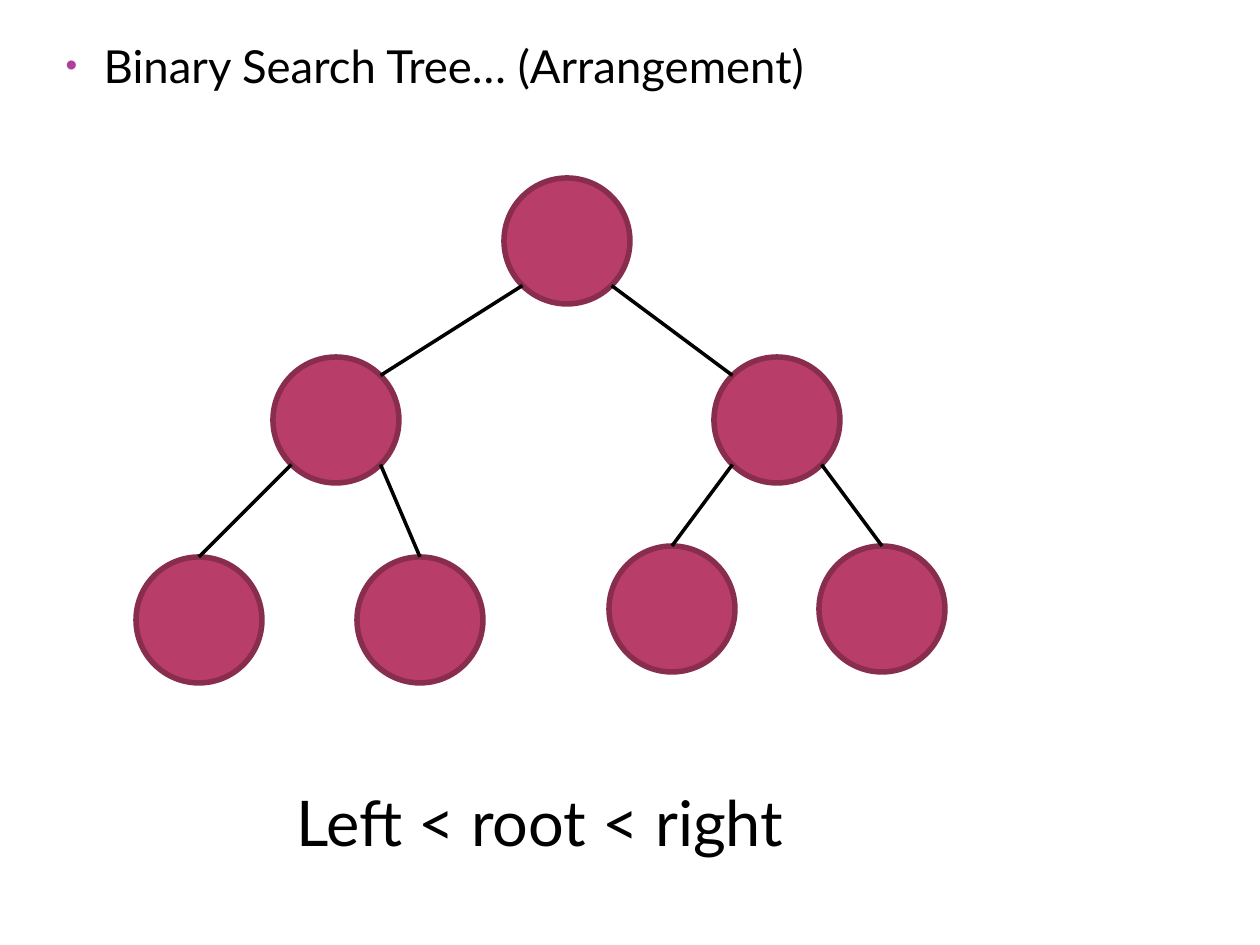
from math import sqrt

from lxml import etree
from pptx import Presentation
from pptx.dml.color import RGBColor
from pptx.enum.shapes import MSO_CONNECTOR, MSO_SHAPE
from pptx.enum.text import MSO_ANCHOR, MSO_AUTO_SIZE
from pptx.oxml.ns import qn
from pptx.util import Emu, Pt

ELLIPSE = MSO_SHAPE.OVAL
STRAIGHT = MSO_CONNECTOR.STRAIGHT
TOP = MSO_ANCHOR.TOP
GROW = MSO_AUTO_SIZE.SHAPE_TO_FIT_TEXT

BLACK = RGBColor(0x00, 0x00, 0x00)
NODE_FILL = RGBColor(0xB8, 0x3D, 0x68)
NODE_LINE = RGBColor(0x88, 0x2D, 0x4D)
BULLET = RGBColor(0xB1, 0x3F, 0x9A)
FONT = "Lato"

HEADING = "Binary Search Tree… (Arrangement)"
RULE = "Left < root < right"
NODE_SIZE = 126
NODES = {
    "root": (504, 178),
    "left": (273, 357),
    "right": (714, 357),
    "right-left": (609, 546),
    "left-left": (136, 557),
    "left-right": (357, 557),
    "right-right": (819, 546),
}
INNER_EDGES = [("root", "left", -1), ("root", "right", 1)]
LEAF_EDGES = [
    ("left", "left-left", -1),
    ("left", "left-right", 1),
    ("right", "right-left", -1),
    ("right", "right-right", 1),
]


def px(value):
    return Emu(round(value * 914400 / 126))


def rim(name, side, down):
    left, top = NODES[name]
    radius = NODE_SIZE / 2
    reach = radius / sqrt(2)
    return px(left + radius + side * reach), px(top + radius + down * reach)


def write(frame, text, size):
    paragraph = frame.paragraphs[0]
    paragraph.text = text
    paragraph.font.name = FONT
    paragraph.font.size = Pt(size)
    paragraph.font.color.rgb = BLACK
    return paragraph


def add_bullet(paragraph):
    properties = paragraph._p.get_or_add_pPr()
    properties.set("marL", str(px(38)))
    properties.set("indent", str(px(-38)))
    color = etree.SubElement(properties, qn("a:buClr"))
    etree.SubElement(color, qn("a:srgbClr"), val=str(BULLET))
    etree.SubElement(properties, qn("a:buSzPct"), val="73000")
    etree.SubElement(properties, qn("a:buFont"), typeface="Arial")
    etree.SubElement(properties, qn("a:buChar"), char="•")


def add_node(tree, left, top):
    node = tree.shapes.add_shape(ELLIPSE, px(left), px(top), px(NODE_SIZE), px(NODE_SIZE))
    node.shadow.inherit = False
    node.fill.solid()
    node.fill.fore_color.rgb = NODE_FILL
    node.line.color.rgb = NODE_LINE
    node.line.width = Pt(3.15)
    return node


def add_edge(tree, start, end):
    edge = tree.shapes.add_connector(STRAIGHT, *start, *end)
    edge.line.color.rgb = BLACK
    edge.line.width = Pt(2)
    etree.SubElement(edge._element.spPr, qn("a:effectLst"))
    return edge


def main():
    prs = Presentation()
    prs.slide_width, prs.slide_height = px(1260), px(945)
    slide = prs.slides.add_slide(prs.slide_layouts[1])
    title = slide.shapes.title._element
    title.getparent().remove(title)

    body = slide.placeholders[1]
    body.left, body.top, body.width, body.height = px(53), px(32), px(1008), px(858)
    body.text_frame.vertical_anchor = TOP
    heading = write(body.text_frame, HEADING, 26)
    heading.space_before = Pt(6)
    add_bullet(heading)

    tree = slide.shapes.add_group_shape()
    nodes = {name: add_node(tree, *place) for name, place in NODES.items()}
    for parent, child, side in INNER_EDGES:
        add_edge(tree, rim(parent, side, 1), rim(child, -side, -1))
    for parent, child, side in LEAF_EDGES:
        start = rim(parent, side, 1)
        add_edge(tree, start, start).end_connect(nodes[child], 0)

    caption = slide.shapes.add_textbox(px(284), px(777), px(557), px(89)).text_frame
    caption.word_wrap = False
    caption.auto_size = GROW
    write(caption, RULE, 36)

    prs.save("out.pptx")


if __name__ == "__main__":
    main()
